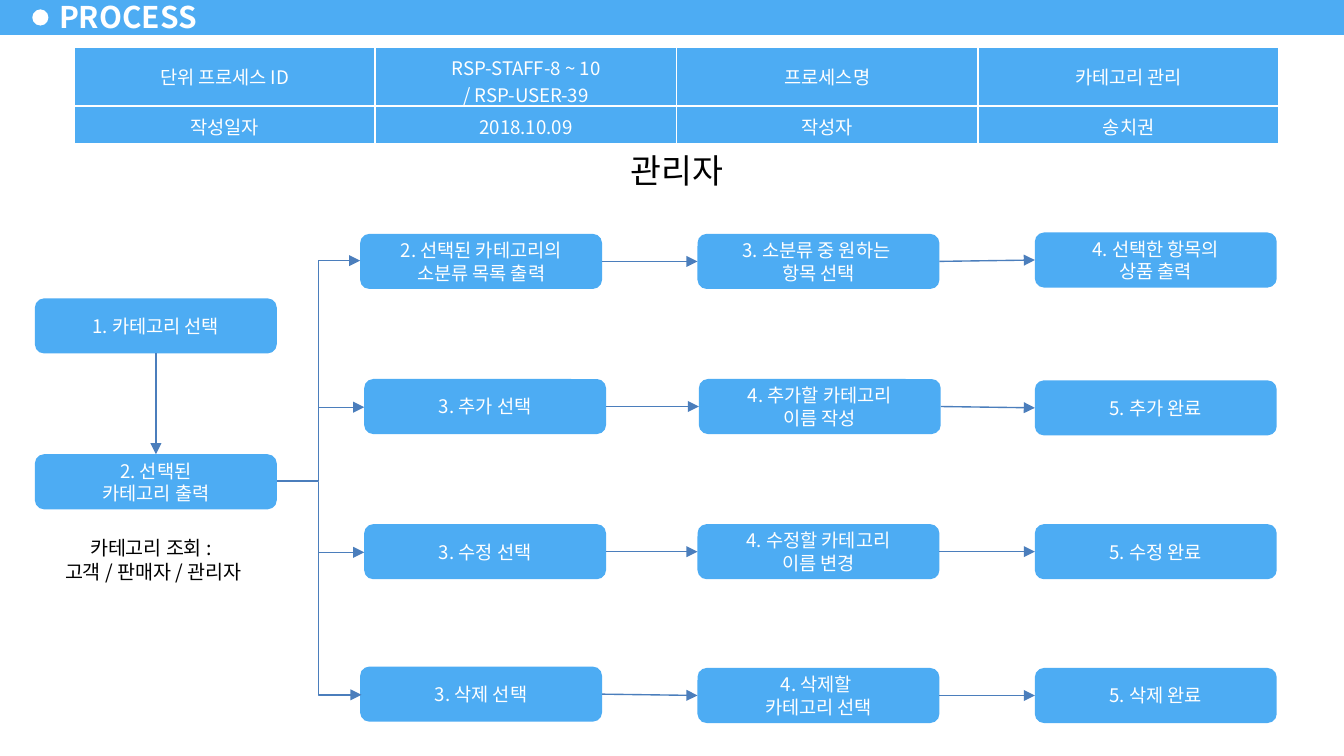
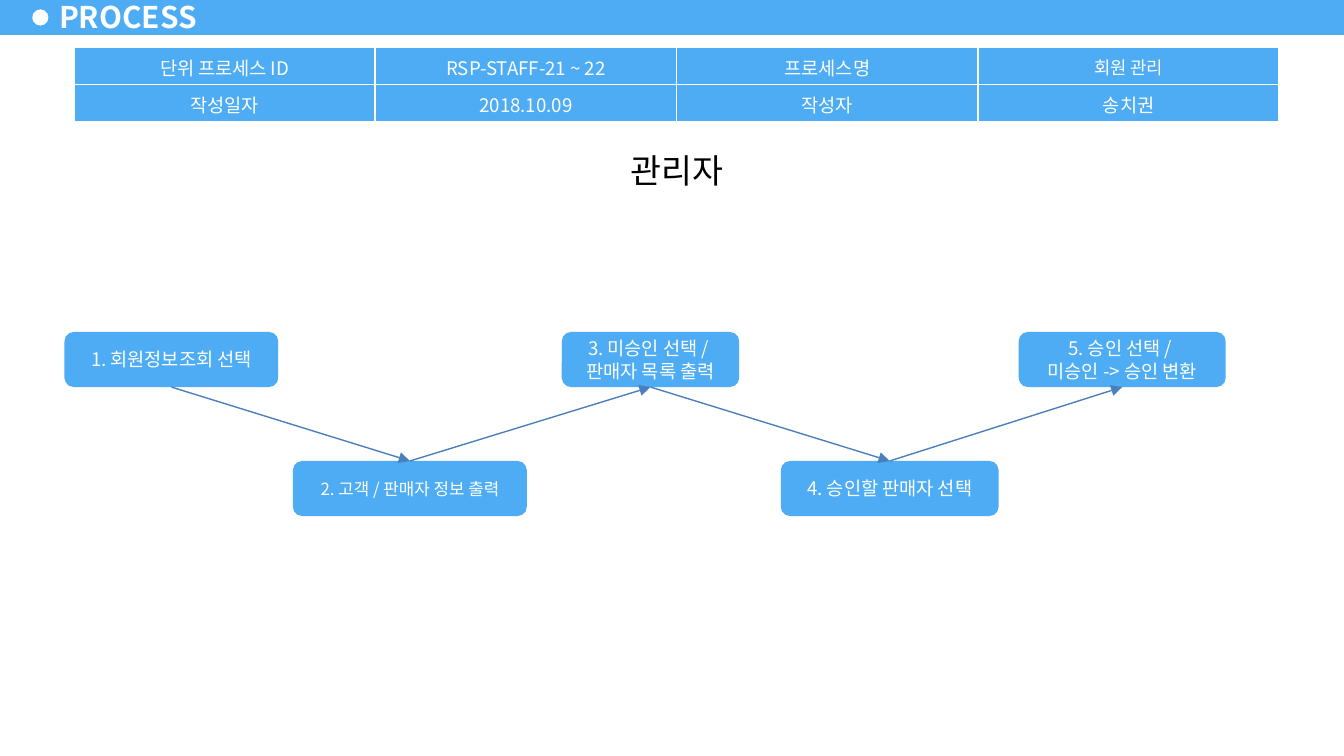
from itertools import pairwise

from lxml import etree
from pptx import Presentation
from pptx.dml.color import RGBColor
from pptx.enum.shapes import MSO_CONNECTOR, MSO_SHAPE
from pptx.enum.text import MSO_ANCHOR, PP_ALIGN
from pptx.oxml import parse_xml
from pptx.oxml.ns import qn
from pptx.util import Inches, Pt

RECTANGLE, ROUNDED, OVAL = MSO_SHAPE.RECTANGLE, MSO_SHAPE.ROUNDED_RECTANGLE, MSO_SHAPE.OVAL
STRAIGHT, ELBOW = MSO_CONNECTOR.STRAIGHT, MSO_CONNECTOR.ELBOW
LEFT, CENTER = PP_ALIGN.LEFT, PP_ALIGN.CENTER
TOP, MIDDLE = MSO_ANCHOR.TOP, MSO_ANCHOR.MIDDLE

FONT = "Noto Sans CJK KR"
BLUE, WHITE, BLACK, ARROW = "4DACF3", "FFFFFF", "000000", "4B7EBC"
NAMESPACE = 'xmlns:a="http://schemas.openxmlformats.org/drawingml/2006/main"'
BOX_HEIGHT = 0.41
color = RGBColor.from_string

BASE_FORMAT = {"size": Pt(10), "name": FONT, "bold": False}

# Text marks: \n starts a paragraph, \v breaks a line.
HEADER_LABELS = ["단위 프로세스 ID", "프로세스명", "작성일자", "작성자"]
PAGES = [
    {
        "id": "RSP-STAFF-8 ~ 10\v/ RSP-USER-39", "name": "카테고리 관리", "name_size": 10,
        "row_heights": [0.44, 0.28],
        # left, top, width, text, size
        "boxes": [
            (0.26, 2.22, 1.8, "1. 카테고리 선택", 10),
            (0.26, 3.38, 1.8, "2. 선택된\n카테고리 출력", 10),
            (2.68, 1.74, 1.8, "2. 선택된 카테고리의\v소분류 목록 출력", 10),
            (5.19, 1.74, 1.8, "3. 소분류 중 원하는 \v항목 선택", 10),
            (7.7, 1.73, 1.8, "4. 선택한 항목의\n상품 출력", 10),
            (2.71, 2.82, 1.8, "3. 추가 선택", 10),
            (5.2, 2.82, 1.8, "4. 추가할 카테고리\n이름 작성", 10),
            (7.7, 2.83, 1.8, "5. 추가 완료", 10),
            (2.71, 3.9, 1.8, "3. 수정 선택", 10),
            (5.19, 3.9, 1.8, "4. 수정할 카테고리\n이름 변경", 10),
            (7.7, 3.9, 1.8, "5. 수정 완료", 10),
            (2.68, 4.96, 1.8, "3. 삭제 선택", 10),
            (5.19, 4.97, 1.8, "4. 삭제할 \n카테고리 선택", 10),
            (7.7, 4.97, 1.8, "5. 삭제 완료", 10),
        ],
        # kind, start, end, elbow position
        "arrows": [
            (STRAIGHT, (1.16, 2.63), (1.16, 3.38), None),
            (ELBOW, (2.06, 3.58), (2.68, 1.94), 0.5),
            (ELBOW, (2.37, 3.59), (2.69, 5.17), 0),
            (STRAIGHT, (2.37, 3.03), (2.71, 3.03), None),
            (STRAIGHT, (2.37, 4.11), (2.71, 4.11), None),
        ],
        "note": "카테고리 조회 : \n고객 / 판매자 / 관리자",
    },
    {
        "id": "RSP-STAFF-21 ~ 22", "name": "회원 관리", "name_size": 9.5,
        "row_heights": [0.28, 0.28],
        "boxes": [
            (0.48, 2.47, 1.59, "1. 회원정보조회 선택", 10),
            (2.18, 3.43, 1.74, "2. 고객 / 판매자 정보 출력", 9),
            (4.18, 2.47, 1.32, "3. 미승인 선택 / \v판매자 목록 출력", 10),
            (5.81, 3.43, 1.62, "4. 승인할 판매자 선택", 10),
            (7.58, 2.47, 1.54, "5. 승인 선택 / \n미승인 -> 승인 변환", 10),
        ],
        "arrows": [],
        "note": None,
    },
]


def write_text(frame, text, text_color, align=CENTER, **changes):
    frame.text = text
    for paragraph in frame.paragraphs:
        paragraph.alignment = align
        for run in paragraph.runs:
            for attribute, value in (BASE_FORMAT | changes).items():
                setattr(run.font, attribute, value)
            run.font.color.rgb = color(text_color)
            etree.SubElement(run.font._element, qn("a:ea"), typeface=FONT)


def add_block(slide, kind, place, fill, text="", text_color=WHITE, anchor=MIDDLE, **changes):
    shape = slide.shapes.add_shape(kind, *map(Inches, place))
    shape.shadow.inherit = False
    shape.fill.solid()
    shape.fill.fore_color.rgb = color(fill)
    shape.line.fill.background()
    if text:
        shape.text_frame.vertical_anchor = anchor
        write_text(shape.text_frame, text, text_color, **changes)


# Widescreen, 16:9
presentation = Presentation()
presentation.slide_width, presentation.slide_height = Inches(10), Inches(10 * 9 / 16)

for page in PAGES:
    slide = presentation.slides.add_slide(presentation.slide_layouts[6])

    # Title band
    add_block(slide, RECTANGLE, (0, -0.02, 10, 0.28), BLUE)
    add_block(slide, OVAL, (0.24, 0.07, 0.12, 0.12), WHITE)
    title = slide.shapes.add_textbox(*map(Inches, (0.35, -0.04, 1.22, 0.32))).text_frame
    title_format = {"word_wrap": True, "vertical_anchor": MIDDLE,
                    "margin_left": Inches(0.09), "margin_right": Inches(0.09),
                    "margin_top": Inches(0.04), "margin_bottom": Inches(0.04)}
    for attribute, value in title_format.items():
        setattr(title, attribute, value)
    write_text(title, "PROCESS", WHITE, LEFT, size=Pt(16), bold=True)

    # Role heading
    add_block(slide, RECTANGLE, (3.25, 1.07, 3.57, 0.4), WHITE, "관리자", BLACK, TOP, size=Pt(18))

    # Process table
    heights = page["row_heights"]
    table = slide.shapes.add_table(2, 4, *map(Inches, (0.55, 0.35, 8.97, sum(heights)))).table
    for row, height in zip(table.rows, heights):
        row.height = Inches(height)
    for column in table.columns:
        column.width = Inches(8.97 / 4)
    values = [page["id"], page["name"], "2018.10.09", "송치권"]
    texts = [text for pair in zip(HEADER_LABELS, values) for text in pair]
    for cell, text in zip(table.iter_cells(), texts):
        cell.vertical_anchor = MIDDLE
        size = page["name_size"] if text == page["name"] else 10
        write_text(cell.text_frame, text, WHITE, size=Pt(size))
        properties = cell._tc.get_or_add_tcPr()
        for side in ("lnL", "lnR", "lnT", "lnB"):
            properties.append(parse_xml(
                f'<a:{side} {NAMESPACE} w="12700"><a:solidFill>'
                f'<a:srgbClr val="{WHITE}"/></a:solidFill></a:{side}>'))
        cell.fill.solid()
        cell.fill.fore_color.rgb = color(BLUE)

    # Step boxes
    for left, top, width, text, size in page["boxes"]:
        add_block(slide, ROUNDED, (left, top, width, BOX_HEIGHT), BLUE, text, size=Pt(size))

    # Arrows between neighbouring steps: along each branch, or zigzag
    arrows = list(page["arrows"])
    boxes = page["boxes"]
    if arrows:
        for first, second in pairwise(boxes[2:]):
            if second[0] > first[0]:
                start = (first[0] + first[2], first[1] + BOX_HEIGHT / 2)
                end = (second[0], second[1] + BOX_HEIGHT / 2)
                arrows.append((STRAIGHT, start, end, None))
    else:
        joints = [(left + width / 2, top + (BOX_HEIGHT if index % 2 == 0 else 0))
                  for index, (left, top, width, _, _) in enumerate(boxes)]
        arrows = [(STRAIGHT, start, end, None) for start, end in pairwise(joints)]

    for kind, start, end, bend in arrows:
        connector = slide.shapes.add_connector(kind, *map(Inches, start + end))
        connector.line.color.rgb = color(ARROW)
        connector.line.width = Pt(0.75)
        etree.SubElement(connector.line._get_or_add_ln(), qn("a:tailEnd"), type="triangle")
        shape_properties = connector._element.spPr
        etree.SubElement(shape_properties, qn("a:effectLst"))
        if bend is not None:
            adjustments = shape_properties.find(".//" + qn("a:avLst"))
            etree.SubElement(adjustments, qn("a:gd"), name="adj1", fmla=f"val {int(bend * 100000)}")

    # Who may browse
    if page["note"]:
        add_block(slide, RECTANGLE, (0.22, 3.94, 1.84, 0.45), WHITE, page["note"], BLACK, TOP,
                  size=Pt(10.5))

presentation.save("out.pptx")
